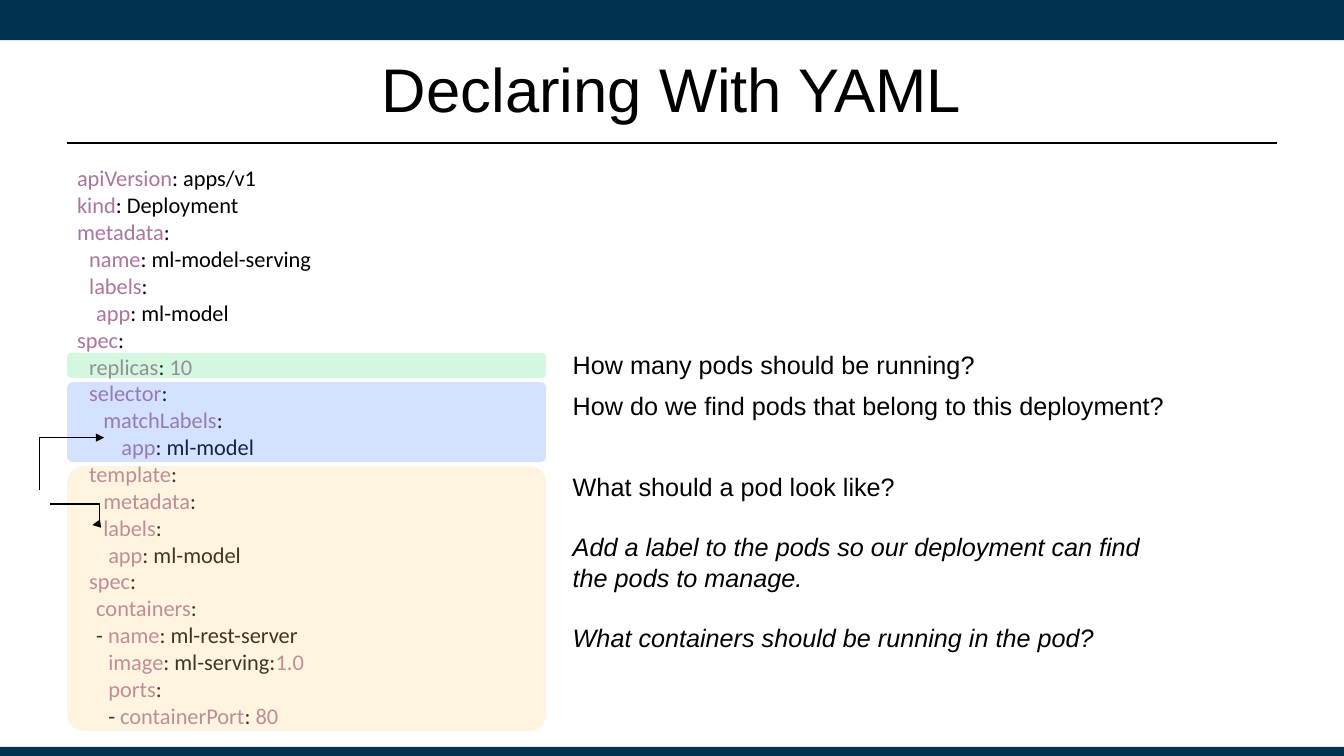
from lxml import etree
from pptx import Presentation
from pptx.dml.color import RGBColor
from pptx.enum.shapes import MSO_CONNECTOR, MSO_SHAPE
from pptx.enum.text import MSO_ANCHOR, PP_ALIGN
from pptx.oxml.ns import qn
from pptx.util import Inches, Pt

RECTANGLE, ROUNDED = MSO_SHAPE.RECTANGLE, MSO_SHAPE.ROUNDED_RECTANGLE
STRAIGHT, ELBOW = MSO_CONNECTOR.STRAIGHT, MSO_CONNECTOR.ELBOW
MIDDLE, TOP = MSO_ANCHOR.MIDDLE, MSO_ANCHOR.TOP
LEFT, CENTER = PP_ALIGN.LEFT, PP_ALIGN.CENTER

COLUMNS, ROWS = 160, 90
CELL = Inches(1) / 12
COLORS = {
    "navy": "003252", "black": "000000", "key": "AA759F",
    "green": "56E080", "blue": "5A8FFF", "orange": "FFD784",
}
MANIFEST = [
    (0, "apiVersion", ": apps/v1"),
    (0, "kind", ": Deployment"),
    (0, "metadata", ":"),
    (0.12, "name", ": ml-model-serving"),
    (0.12, "labels", ":"),
    (0.19, "app", ": ml-model"),
    (0, "spec", ":"),
    (0.12, "replicas", ": ", "10"),
    (0.12, "selector", ":"),
    (0.26, "matchLabels", ":"),
    (0.44, "app", ": ml-model"),
    (0.12, "template", ":"),
    (0.26, "metadata", ":"),
    (0.26, "labels", ":"),
    (0.31, "app", ": ml-model"),
    (0.12, "spec", ":"),
    (0.19, "containers", ":"),
    (0.19, "", "- ", "name", ": ml-rest-server"),
    (0.31, "image", ": ml-serving:", "1.0"),
    (0.31, "ports", ":"),
    (0.31, "", "- ", "containerPort", ": ", "80"),
]
HIGHLIGHTS = [
    ("green", 0, 3, 0.167),
    ("blue", 3.5, 9.5, 0.068),
    ("orange", 13.5, 31.5, 0.06),
]
QUESTIONS = [
    (0, 4.8, [("How many pods should be running?", False)]),
    (4.9, 4.8, [("How do we find pods that belong to this deployment?", False)]),
    (14.5, 23, [
        ("What should a pod look like?", False),
        ("Add a label to the pods so our deployment can find the pods to manage.", True),
        ("What containers should be running in the pod?", True),
    ]),
]


def grid(*lengths):
    return [round(length * CELL) for length in lengths]


def color(name):
    return RGBColor.from_string(COLORS[name])


def add_run(paragraph, text, size, font, color_name="black", italic=False):
    run = paragraph.add_run()
    run.text = text
    run.font.size = Pt(size)
    run.font.name = font
    run.font.italic = italic
    run.font.color.rgb = color(color_name)


def add_block(slide, kind, box, color_name, opacity=100):
    shape = slide.shapes.add_shape(kind, *grid(*box))
    shape.shadow.inherit = False
    shape.fill.solid()
    shape.fill.fore_color.rgb = color(color_name)
    shape.line.fill.background()
    if opacity < 100:
        fill = shape.fill._xPr.find(qn("a:solidFill"))
        etree.SubElement(fill[0], qn("a:alpha"), val=str(opacity * 1000))
    return shape


def add_line(slide, kind, ends, width):
    connector = slide.shapes.add_connector(kind, *grid(*ends))
    connector.line.color.rgb = color("black")
    connector.line.width = Pt(width)
    etree.SubElement(connector._element.spPr, qn("a:effectLst"))
    return connector


def add_elbow_arrow(slide, ends, bend):
    connector = add_line(slide, ELBOW, ends, 1)
    properties = connector._element.spPr
    guides = properties.find(qn("a:prstGeom")).find(qn("a:avLst"))
    etree.SubElement(guides, qn("a:gd"), name="adj1", fmla=f"val {bend}")
    etree.SubElement(properties.find(qn("a:ln")), qn("a:tailEnd"), type="triangle")


def add_text_frame(slide, box):
    frame = slide.shapes.add_textbox(*grid(*box)).text_frame
    frame.word_wrap = True
    frame.vertical_anchor = TOP
    return frame


def next_paragraph(frame, index):
    paragraph = frame.paragraphs[0] if index == 0 else frame.add_paragraph()
    paragraph.alignment = LEFT
    return paragraph


def add_frame(slide, left, top, width, height):
    add_block(slide, RECTANGLE, (left, top, width, 4.8), "navy")
    add_block(slide, RECTANGLE, (left, top + height - 1.1, width, 1.1), "navy")
    add_line(slide, STRAIGHT, (left + 8, top + 17, left + width - 8, top + 17), 1.25)


def add_title(slide, left, top, width, height):
    title = slide.shapes.title
    title.left, title.top, title.width, title.height = grid(left, top, width, height)
    title.text_frame.vertical_anchor = MIDDLE
    paragraph = title.text_frame.paragraphs[0]
    paragraph.alignment = CENTER
    add_run(paragraph, "Declaring With YAML", 44, "Arial")


def add_manifest(slide, left, top, width, height):
    frame = add_text_frame(slide, (left, top, width, height))
    for index, (indent, *parts) in enumerate(MANIFEST):
        paragraph = next_paragraph(frame, index)
        paragraph.line_spacing = Pt(19.2)
        paragraph._p.get_or_add_pPr().set("marL", str(Inches(indent)))
        for position, part in enumerate(parts):
            if part:
                add_run(paragraph, part, 16, "Calibri", ("key", "black")[position % 2])


def add_highlights(slide, left, top, width):
    for color_name, offset, height, radius in HIGHLIGHTS:
        box = (left, top + offset, width, height)
        add_block(slide, ROUNDED, box, color_name, 25).adjustments[0] = radius


def add_questions(slide, left, top, width):
    for offset, height, lines in QUESTIONS:
        frame = add_text_frame(slide, (left, top + offset, width, height))
        for index, (text, italic) in enumerate(lines):
            paragraph = next_paragraph(frame, index)
            paragraph.line_spacing = Pt(21.6)
            if index:
                paragraph.space_before = Pt(21.6)
            add_run(paragraph, text, 18, "Arial", italic=italic)


def add_label_arrows(slide, left, top):
    add_elbow_arrow(slide, (left, top + 6.2, left + 7.7, top), 0)
    add_elbow_arrow(slide, (left + 1.3, top + 7.9, left + 6.3, top + 10.4), 117100)


def main():
    presentation = Presentation()
    presentation.slide_width, presentation.slide_height = grid(COLUMNS, ROWS)
    slide = presentation.slides.add_slide(presentation.slide_layouts[5])
    add_frame(slide, 0, 0, COLUMNS, ROWS)
    add_title(slide, 8, 3, 144, 15)
    add_manifest(slide, 8, 19, 59, 69)
    add_highlights(slide, 8, 42, 57)
    add_questions(slide, 67, 41, 74.3)
    add_label_arrows(slide, 4.7, 52.1)
    presentation.save("out.pptx")


if __name__ == "__main__":
    main()
